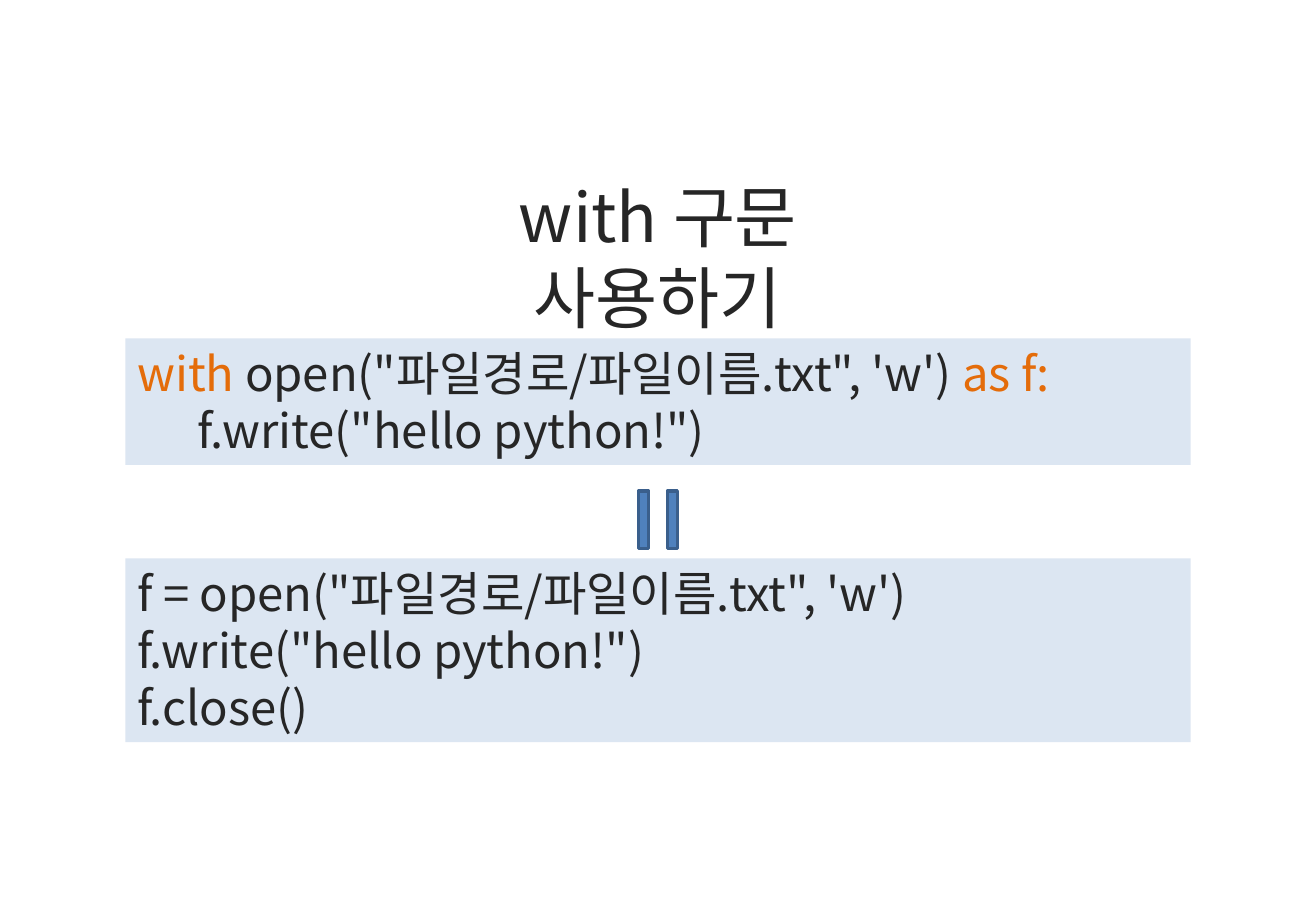
from lxml import etree
from pptx import Presentation
from pptx.dml.color import RGBColor
from pptx.enum.shapes import MSO_SHAPE
from pptx.enum.text import MSO_ANCHOR, PP_ALIGN
from pptx.oxml.ns import qn
from pptx.util import Pt

RECTANGLE = MSO_SHAPE.RECTANGLE
TOP = MSO_ANCHOR.TOP
LEFT, CENTER = PP_ALIGN.LEFT, PP_ALIGN.CENTER

FONT = "Noto Sans CJK KR"
INK = RGBColor(0x26, 0x26, 0x26)
KEYWORD = RGBColor(0xE4, 0x6C, 0x0A)
PANEL = RGBColor(0xDC, 0xE6, 0xF2)
BAR = RGBColor(0x4F, 0x81, 0xBD)
BAR_EDGE = RGBColor(0x3A, 0x5F, 0x8C)

WITH_CODE = [
    [("with", KEYWORD), (" open(\"파일경로/파일이름.txt\", 'w') ", INK), ("as f:", KEYWORD)],
    [("\tf.write(\"hello python!\")", INK)],
]
PLAIN_CODE = [
    [("f = open(\"파일경로/파일이름.txt\", 'w')", INK)],
    [("f.write(\"hello python!\")", INK)],
    [("f.close()", INK)],
]


def style_span(span, size, color):
    span.font.size = Pt(size)
    span.font.name = FONT
    span.font.color.rgb = color
    east_asian = etree.SubElement(span.font._element, qn("a:ea"))
    east_asian.set("typeface", FONT)


def add_title(page, left, top, width, height):
    box = page.shapes.add_textbox(Pt(left), Pt(top), Pt(width), Pt(height))
    box.text_frame.word_wrap = True
    box.text_frame.text = "with 구문 사용하기"
    para = box.text_frame.paragraphs[0]
    para.alignment = CENTER
    style_span(para.runs[0], 40, INK)


def add_rectangle(page, left, top, width, height, color):
    box = page.shapes.add_shape(RECTANGLE, Pt(left), Pt(top), Pt(width), Pt(height))
    box.shadow.inherit = False
    box.fill.solid()
    box.fill.fore_color.rgb = color
    return box


def add_code_panel(page, left, top, width, height, lines):
    box = add_rectangle(page, left, top, width, height, PANEL)
    box.line.fill.background()
    frame = box.text_frame
    frame.word_wrap = True
    frame.vertical_anchor = TOP
    for index, line in enumerate(lines):
        para = frame.paragraphs[0] if index == 0 else frame.add_paragraph()
        para.alignment = LEFT
        for text, color in line:
            span = para.add_run()
            span.text = text
            style_span(span, 28, color)


def add_equals_sign(page, left, top, width, height):
    bar_width = 6
    for bar_left in (left, left + width - bar_width):
        bar = add_rectangle(page, bar_left, top, bar_width, height, BAR)
        bar.line.color.rgb = BAR_EDGE
        bar.line.width = Pt(2)


def main():
    deck = Presentation()
    deck.slide_width, deck.slide_height = Pt(780), Pt(540)
    page = deck.slides.add_slide(deck.slide_layouts[6])
    add_title(page, 226, 100, 328, 55.4)
    add_code_panel(page, 74.3, 200.6, 631.4, 75, WITH_CODE)
    add_code_panel(page, 74.3, 331, 631.4, 109, PLAIN_CODE)
    add_equals_sign(page, 378.5, 291, 23, 34)
    deck.save("out.pptx")


if __name__ == "__main__":
    main()
